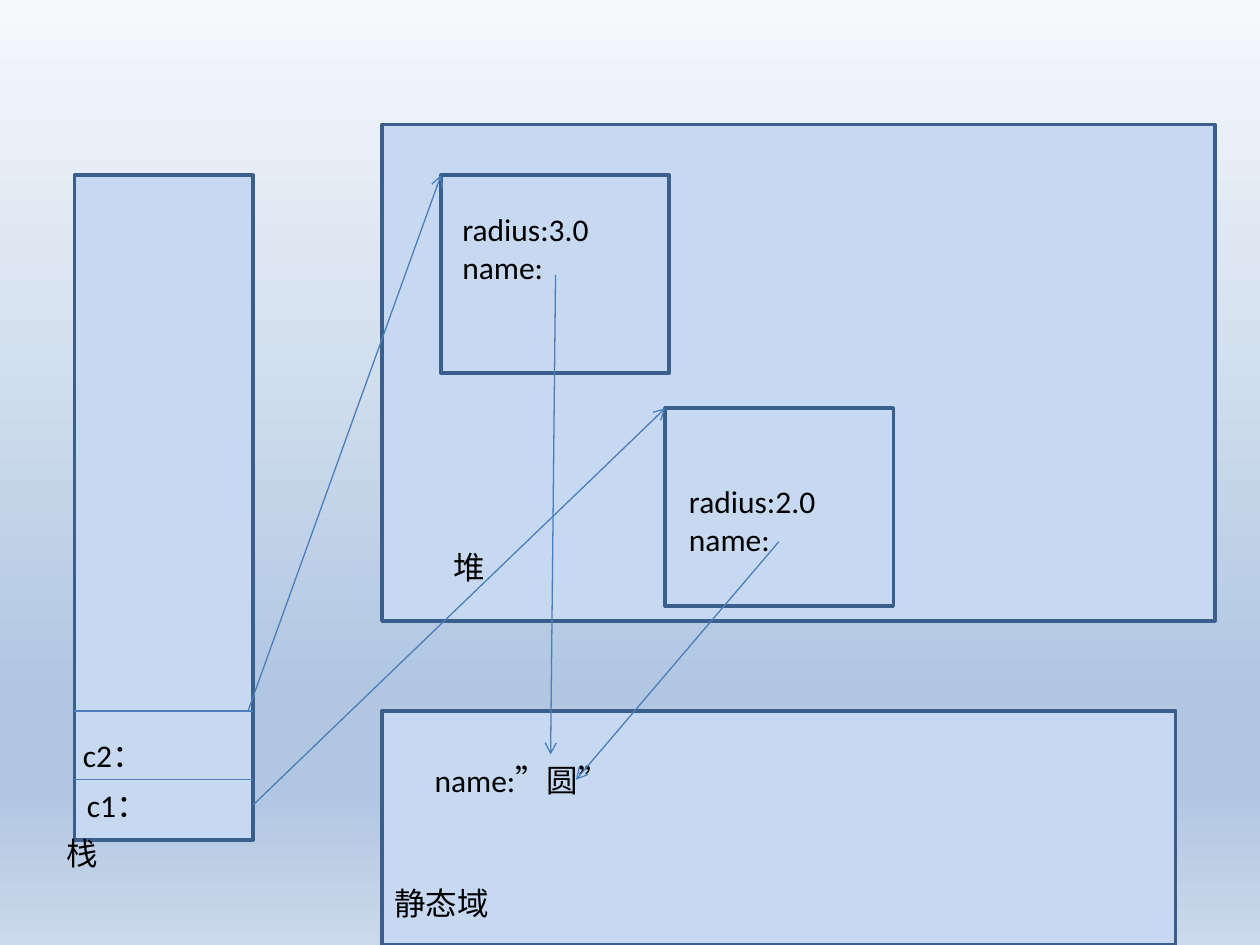
from typing import NamedTuple

from lxml.etree import SubElement
from pptx import Presentation
from pptx.dml.color import RGBColor
from pptx.enum.shapes import MSO_CONNECTOR, MSO_SHAPE
from pptx.enum.text import MSO_AUTO_SIZE
from pptx.oxml.ns import qn
from pptx.util import Cm, Pt


class Box(NamedTuple):
    left: float
    top: float
    width: float
    height: float


class Label(NamedTuple):
    text: str
    left: float
    top: float
    width: float


class Link(NamedTuple):
    x1: float
    y1: float
    x2: float
    y2: float
    arrow: bool = True


# Memory areas
STACK = Box(1.5, 3.53, 3.6, 13.41)
HEAP = Box(7.7, 2.51, 16.79, 10.01)
STATIC = Box(7.7, 14.33, 16, 4.72)

# Circle objects in the heap
FIRST = Box(13.41, 8.23, 4.6, 3.99)
SECOND = Box(8.89, 3.53, 4.6, 3.99)

C2_TOP, C1_TOP = 14.33, 15.72
RIGHT = STACK.left + STACK.width
ROW = 1.02

LABELS = [
    Label("栈", 1.09, 16.69, 4.39),
    Label("堆", 8.89, 10.92, 4.6),
    Label("静态域", 7.7, 17.7, 3.81),
    Label("c1：", 1.5, C1_TOP, 3.6),
    Label("c2：", 1.42, 14.71, 3.6),
    Label("radius:2.0\nname:", 13.64, 9.6, 4.09),
    Label("radius:3.0\nname:", 9.07, 4.11, 4.09),
    Label("name:”圆”", 8.51, 15.21, 6.2),
]

LINKS = [
    # Stack dividers
    Link(STACK.left, C1_TOP, RIGHT, C1_TOP, False),
    Link(STACK.left, C2_TOP, RIGHT, C2_TOP, False),
    # References to the objects
    Link(RIGHT, 16.23, FIRST.left, FIRST.top),
    Link(5, C2_TOP, SECOND.left, SECOND.top),
    # References to the shared name
    Link(11.2, 5.54, 11.1, 15.21),
    Link(15.7, 10.92, 11.61, C1_TOP),
]

STOPS = [(0, "F6F9FC"), (74, "B0C6E1"), (83, "B0C6E1"), (100, "CAD9EB")]


def color(code: str) -> RGBColor:
    return RGBColor.from_string(code)


def paint_back(slide) -> None:
    slide.background.fill.gradient()
    grad = slide.element.find(".//" + qn("a:gradFill"))
    for part in list(grad):
        grad.remove(part)
    stops = SubElement(grad, qn("a:gsLst"))
    for place, code in STOPS:
        stop = SubElement(stops, qn("a:gs"), pos=str(place * 1000))
        SubElement(stop, qn("a:srgbClr"), val=code)
    SubElement(grad, qn("a:lin"), ang="5400000", scaled="0")


def draw_box(slide, box: Box) -> None:
    shape = slide.shapes.add_shape(MSO_SHAPE.RECTANGLE, *map(Cm, box))
    shape.shadow.inherit = False
    shape.fill.solid()
    shape.fill.fore_color.rgb = color("C6D9F1")
    shape.line.color.rgb = color("3A5F8C")
    shape.line.width = Pt(2)


def draw_label(slide, label: Label) -> None:
    lines = label.text.count("\n") + 1
    height = ROW if lines == 1 else 1.8
    frame = slide.shapes.add_textbox(
        Cm(label.left), Cm(label.top), Cm(label.width), Cm(height)
    ).text_frame
    frame.word_wrap = True
    frame.auto_size = MSO_AUTO_SIZE.SHAPE_TO_FIT_TEXT
    frame.text = label.text
    for para in frame.paragraphs:
        for run in para.runs:
            run.font.name = "Calibri"
            run.font.size = Pt(18)
            run.font.color.rgb = color("000000")


def draw_link(slide, link: Link) -> None:
    line = slide.shapes.add_connector(
        MSO_CONNECTOR.STRAIGHT, *map(Cm, link[:4])
    )
    line.line.color.rgb = color("4B7EBC")
    line.line.width = Pt(0.75)
    if link.arrow:
        SubElement(line.line._get_or_add_ln(), qn("a:tailEnd"), type="arrow")
    SubElement(line.element.spPr, qn("a:effectLst"))


def main() -> None:
    deck = Presentation()
    deck.slide_width, deck.slide_height = Cm(25.4), Cm(19.05)
    slide = deck.slides.add_slide(deck.slide_layouts[6])
    paint_back(slide)
    for box in (STACK, HEAP, STATIC, SECOND, FIRST):
        draw_box(slide, box)
    for label in LABELS:
        draw_label(slide, label)
    for link in LINKS:
        draw_link(slide, link)
    deck.save("out.pptx")


if __name__ == "__main__":
    main()
